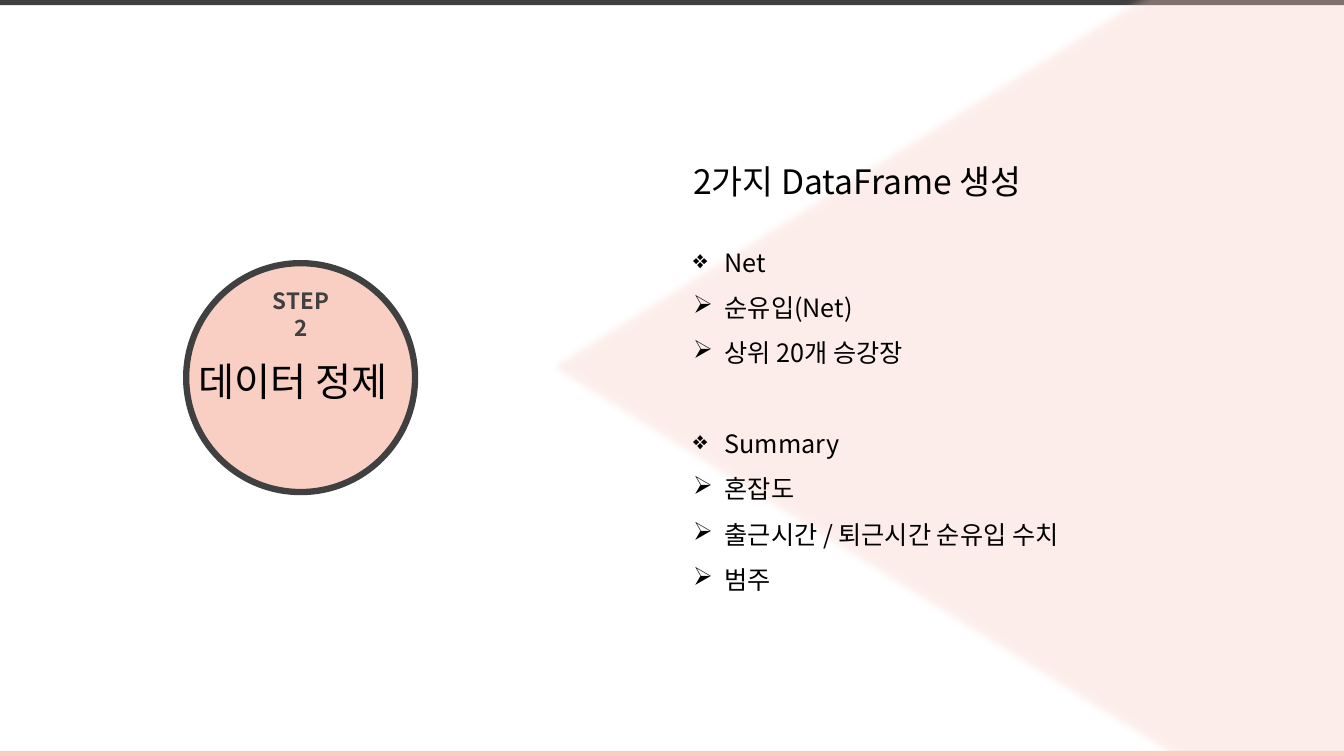
from dataclasses import dataclass

from lxml import etree
from pptx import Presentation
from pptx import util as u
from pptx.dml import color
from pptx.enum import shapes, text
from pptx.oxml import ns


@dataclass(frozen=True)
class Theme:
    dark: str = "404040"
    peach: str = "F9CFC3"
    black: str = "000000"
    korean: str = "Noto Sans CJK KR"
    latin: str = "Noto Sans CJK JP"
    step: int = 16
    body: int = 18
    title: int = 24
    topic: int = 28
    leading: float = 1.2


THEME = Theme()
WIDTH, HEIGHT, BAR = 960, 540, 3.6
INDENT = 22.5
GROUPS = [
    ("Net", ["순유입(Net)", "상위 20개 승강장"], 21.6),
    ("Summary", ["혼잡도", "출근시간 / 퇴근시간 순유입 수치", "범주"], 32.4),
]


def apply(target, formats):
    for name, value in formats.items():
        setattr(target, name, value)


def add_child(parent, tag, **attributes):
    return etree.SubElement(parent, ns.qn(tag), attributes)


def add_figure(page, kind, bounds, fill, outline=None):
    shape = page.shapes.add_shape(kind, *map(u.Pt, bounds))
    shape.shadow.inherit = False
    shape.fill.solid()
    shape.fill.fore_color.rgb = color.RGBColor.from_string(fill)
    if outline:
        shape.line.color.rgb = color.RGBColor.from_string(outline)
        shape.line.width = u.Pt(4.5)
    else:
        shape.line.fill.background()
    return shape


def add_triangle(page):
    triangle = add_figure(page, shapes.MSO_SHAPE.FLOWCHART_EXTRACT,
                          (311, -37.5, 751, 601), THEME.peach)
    triangle.rotation = 270
    properties = triangle.element.spPr
    tint = properties.find(ns.qn("a:solidFill")).find(ns.qn("a:srgbClr"))
    add_child(tint, "a:alpha", val="35000")
    add_child(properties.find(ns.qn("a:effectLst")), "a:softEdge", rad=str(u.Pt(5)))


def add_box(page, bounds, **formats):
    box = page.shapes.add_textbox(*map(u.Pt, bounds))
    apply(box.text_frame, {"word_wrap": True, **formats})
    return box.text_frame


def write(para, words, size, font=THEME.korean, ink=THEME.black, bold=False,
          spacing=1.0, **formats):
    apply(para, {"line_spacing": u.Pt(size * THEME.leading * spacing), **formats})
    span = para.add_run()
    span.text = words
    apply(span.font, {"name": font, "size": u.Pt(size), "bold": bold})
    span.font.color.rgb = color.RGBColor.from_string(ink)
    add_child(span.font._element, "a:ea", typeface=font)


def write_bullet(frame, mark, words, font=THEME.korean, gap=0):
    para = frame.add_paragraph()
    write(para, words, THEME.body, font, spacing=1.5, space_before=u.Pt(gap))
    properties = para._p.get_or_add_pPr()
    properties.set("marL", str(u.Pt(INDENT)))
    properties.set("indent", str(-u.Pt(INDENT)))
    add_child(properties, "a:buChar", char=mark)


def main():
    deck = Presentation()
    apply(deck, {"slide_width": u.Pt(WIDTH), "slide_height": u.Pt(HEIGHT)})
    page = deck.slides.add_slide(deck.slide_layouts[6])

    add_figure(page, shapes.MSO_SHAPE.OVAL, (133, 188, 163.5, 163.5),
               THEME.peach, THEME.dark)
    step = add_box(page, (183.5, 211, 63, 26.6),
                   vertical_anchor=text.MSO_ANCHOR.MIDDLE)
    write(step.paragraphs[0], "STEP2", THEME.step, ink=THEME.dark, bold=True,
          alignment=text.PP_ALIGN.CENTER)
    for top, fill in ((0, THEME.dark), (HEIGHT - BAR, THEME.peach)):
        add_figure(page, shapes.MSO_SHAPE.RECTANGLE, (0, top, WIDTH, BAR), fill)
    topic = add_box(page, (134.6, 252, 165.6, 41), word_wrap=False)
    write(topic.paragraphs[0], "데이터 정제", THEME.topic)
    add_triangle(page)

    content = add_box(page, (488, 110, 480, 320),
                      vertical_anchor=text.MSO_ANCHOR.MIDDLE)
    write(content.paragraphs[0], "2가지 DataFrame 생성", THEME.title)
    for heading, items, gap in GROUPS:
        write_bullet(content, "❖", heading, THEME.latin, gap)
        for item in items:
            write_bullet(content, "➢", item)

    deck.save("out.pptx")


if __name__ == "__main__":
    main()
